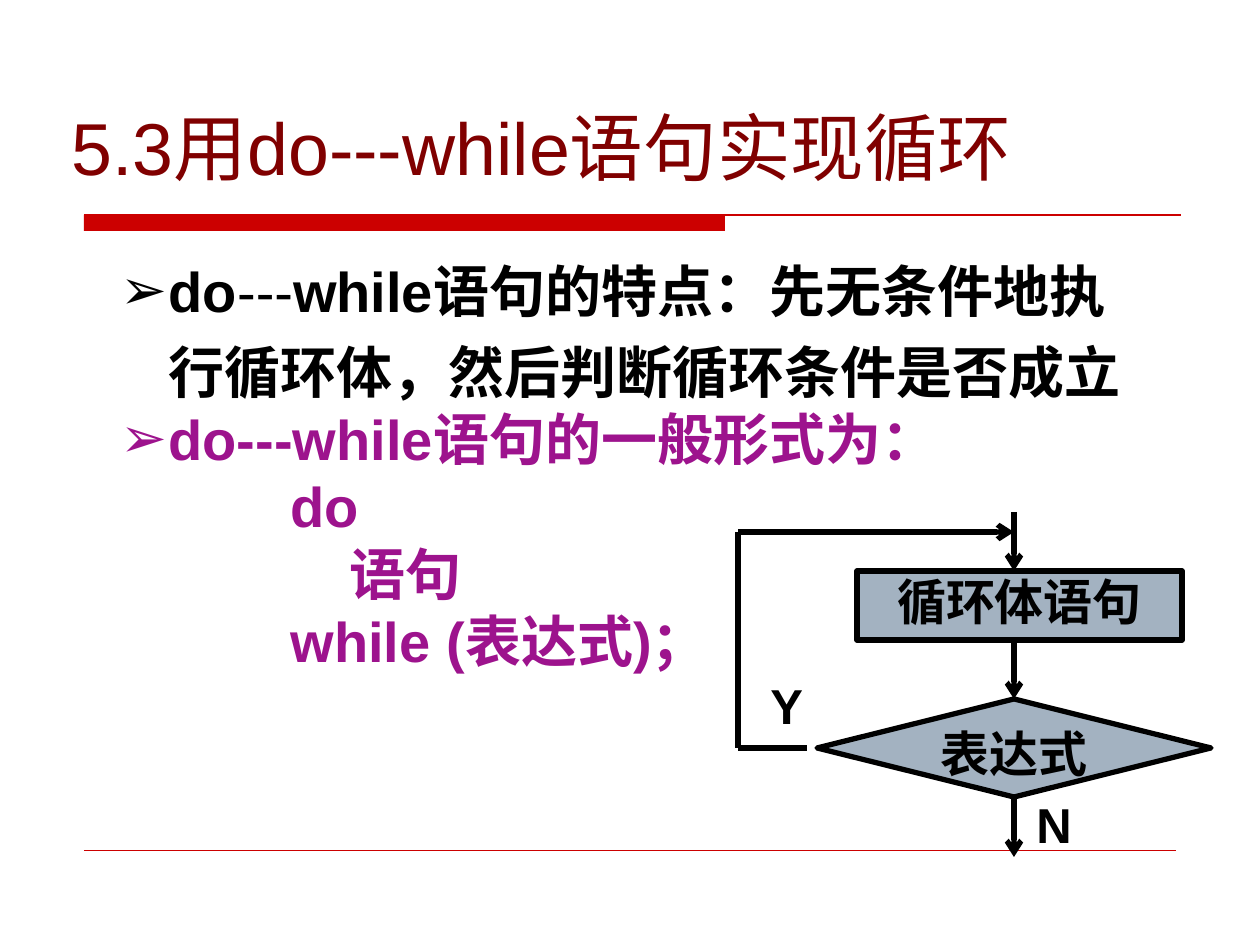
from lxml import etree
from pptx import Presentation
from pptx.dml.color import RGBColor
from pptx.enum.shapes import MSO_CONNECTOR, MSO_SHAPE
from pptx.enum.text import MSO_ANCHOR, MSO_AUTO_SIZE, PP_ALIGN
from pptx.oxml.ns import qn
from pptx.util import Pt

STRAIGHT = MSO_CONNECTOR.STRAIGHT
RECT = MSO_SHAPE.RECTANGLE
PROCESS, DECISION = MSO_SHAPE.FLOWCHART_PROCESS, MSO_SHAPE.FLOWCHART_DECISION
TOP, MIDDLE = MSO_ANCHOR.TOP, MSO_ANCHOR.MIDDLE
LEFT, CENTER = PP_ALIGN.LEFT, PP_ALIGN.CENTER
NO_FIT = MSO_AUTO_SIZE.NONE

PX = 914400 / 126
FONT = "Arial"
COLORS = {"title": "800000", "rule": "CC0000", "ink": "000000",
          "syntax": "9D138D", "node": "A3B2C1"}

TITLE = "5.3用do---while语句实现循环"
HANG = 48
BODY = [
    ([("do", True), ("---", False),
      ("while语句的特点：先无条件地执行循环体，然后判断循环条件是否成立", True)],
     "ink", HANG, True, 1.2),
    ([("do---while语句的一般形式为：", True)], "syntax", HANG, True, 1),
    ([("do", True)], "syntax", 170, False, 1),
    ([("语句", True)], "syntax", 229, False, 1),
    ([("while (表达式)；", True)], "syntax", 170, False, 1),
]
NODES = [
    ("表达式", DECISION, (817, 699, 394, 98)),
    ("循环体语句", PROCESS, (857, 571, 325, 69)),
]
LABELS = [("Y", (758, 669, 69, 72)), ("N", (1024, 788, 69, 72))]
AXIS, LOOP_X, LOOP_TOP, LOOP_BOTTOM = 1014, 738, 532, 748
FLOW = [
    ((AXIS, 512), (AXIS, 571), True),
    ((807, LOOP_BOTTOM), (LOOP_X, LOOP_BOTTOM), False),
    ((LOOP_X, LOOP_BOTTOM), (LOOP_X, LOOP_TOP), False),
    ((LOOP_X, LOOP_TOP), (AXIS, LOOP_TOP), True),
]


def emu(values):
    return [round(v * PX) for v in values]


def color(name):
    return RGBColor.from_string(COLORS[name])


def style(r, size, name, bold):
    r.font.name = FONT
    r.font.size = Pt(size)
    r.font.bold = bold
    r.font.color.rgb = color(name)


def place(sp, box):
    sp.left, sp.top, sp.width, sp.height = emu(box)


def add_line(s, start, end, name, width, arrow=False):
    cx = s.shapes.add_connector(STRAIGHT, *emu(start + end))
    cx.line.color.rgb = color(name)
    cx.line.width = Pt(width)
    if arrow:
        etree.SubElement(cx.line._get_or_add_ln(), qn("a:tailEnd"), type="arrow")
    etree.SubElement(cx._element.spPr, qn("a:effectLst"))
    return cx


def add_box(s, shape, box, fill):
    sp = s.shapes.add_shape(shape, *emu(box))
    sp.shadow.inherit = False
    sp.fill.solid()
    sp.fill.fore_color.rgb = color(fill)
    return sp


def set_bullet(p, indent, name, bulleted):
    pPr = p._p.get_or_add_pPr()
    pPr.set("marL", str(round(indent * PX)))
    pPr.set("indent", str(round(-HANG * PX) if bulleted else 0))
    if bulleted:
        clr = etree.SubElement(pPr, qn("a:buClr"))
        etree.SubElement(clr, qn("a:srgbClr"), val=COLORS[name])
        etree.SubElement(pPr, qn("a:buFont"), typeface=FONT)
        etree.SubElement(pPr, qn("a:buChar"), char="➢")
    else:
        etree.SubElement(pPr, qn("a:buNone"))


def add_title(s):
    sp = s.shapes.title
    place(sp, (59, 96, 1162, 101))
    tf = sp.text_frame
    tf.text = TITLE
    tf.auto_size = NO_FIT
    tf.vertical_anchor = MIDDLE
    p = tf.paragraphs[0]
    p.alignment = LEFT
    style(p.runs[0], 42, "title", False)


def add_body(s):
    sp = s.placeholders[1]
    place(sp, (108, 237, 1063, 493))
    tf = sp.text_frame
    tf.auto_size = NO_FIT
    for i, (runs, name, indent, bulleted, spacing) in enumerate(BODY):
        p = tf.add_paragraph() if i else tf.paragraphs[0]
        set_bullet(p, indent, name, bulleted)
        p.line_spacing = spacing
        p.space_before = Pt(0)
        for text, bold in runs:
            r = p.add_run()
            r.text = text
            style(r, 32, name, bold)


def add_flowchart(s):
    nodes = {}
    for text, shape, box in NODES:
        sp = nodes[text] = add_box(s, shape, box, "node")
        sp.line.color.rgb = color("ink")
        sp.line.width = Pt(3)
        tf = sp.text_frame
        tf.text = text
        tf.word_wrap = False
        tf.vertical_anchor = TOP
        tf.margin_left = tf.margin_right = tf.margin_top = tf.margin_bottom = 0
        p = tf.paragraphs[0]
        p.alignment = CENTER
        style(p.runs[0], 28, "ink", True)
    for text, box in LABELS:
        tf = s.shapes.add_textbox(*emu(box)).text_frame
        tf.text = text
        tf.word_wrap = True
        style(tf.paragraphs[0].runs[0], 28, "ink", True)
    for start, end, arrow in FLOW:
        add_line(s, start, end, "ink", 3, arrow)
    test = nodes["表达式"]
    add_line(s, (AXIS, 640), (AXIS, 699), "ink", 3, True).end_connect(test, 0)
    add_line(s, (AXIS, 797), (AXIS, 857), "ink", 3, True).begin_connect(test, 2)


def main():
    prs = Presentation()
    prs.slide_width, prs.slide_height = emu((1260, 945))
    s = prs.slides.add_slide(prs.slide_layouts[1])
    add_box(s, RECT, (84, 215, 641, 16), "rule").line.fill.background()
    add_line(s, (84, 215), (1181, 215), "rule", 0.75)
    add_line(s, (84, 850), (1176, 850), "rule", 0.25)
    add_title(s)
    add_body(s)
    add_flowchart(s)
    prs.save("out.pptx")


if __name__ == "__main__":
    main()
